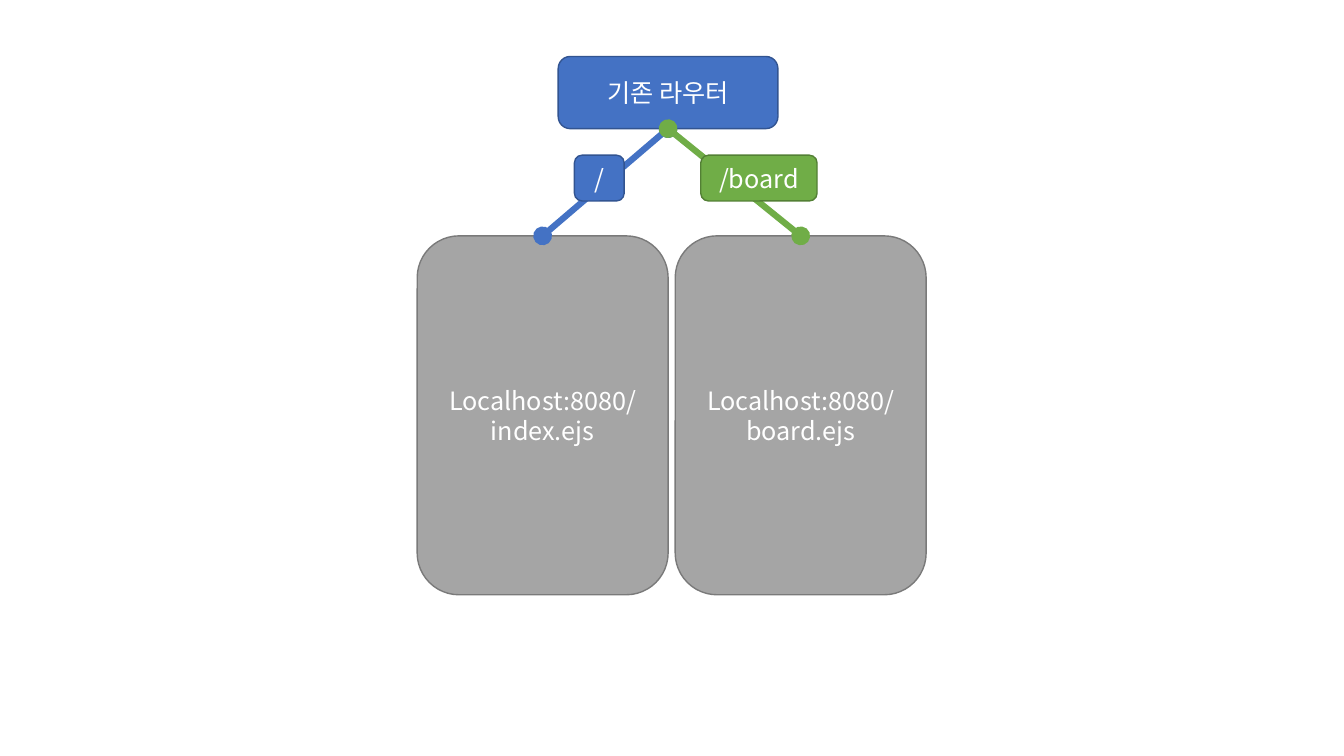
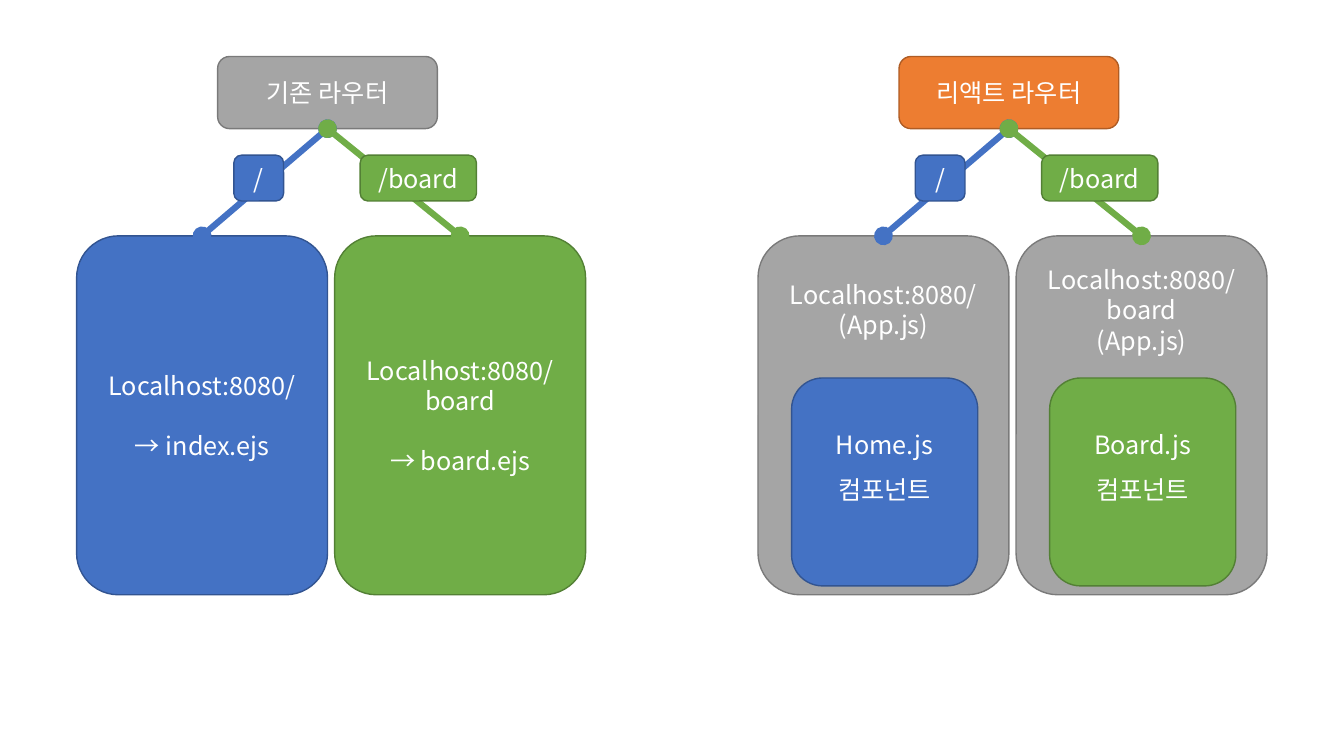
from pptx import Presentation
from pptx.dml.color import RGBColor
from pptx.enum.shapes import MSO_CONNECTOR, MSO_SHAPE
from pptx.enum.text import MSO_ANCHOR, PP_ALIGN
from pptx.oxml.ns import qn
from pptx.util import Inches, Pt
from lxml.etree import SubElement

WHITE = RGBColor(0xFF, 0xFF, 0xFF)
BLUE = RGBColor(0x44, 0x72, 0xC4)
GREEN = RGBColor(0x70, 0xAD, 0x47)
GRAY = RGBColor(0xA5, 0xA5, 0xA5)
ORANGE = RGBColor(0xED, 0x7D, 0x31)
EDGES = {
    BLUE: RGBColor(0x32, 0x54, 0x91),
    GREEN: RGBColor(0x53, 0x80, 0x35),
    GRAY: RGBColor(0x7A, 0x7A, 0x7A),
    ORANGE: RGBColor(0xAF, 0x5C, 0x24),
}
FONT = "Noto Sans CJK KR"
LEADING = 21.5
INSET = Inches(0.05)

PAGE_W, PAGE_H, PAGE_TOP, PAGE_PITCH = 18.67, 47.47, 31.2, 19.2
ROUTER_W, ROUTER_H, ROUTER_TOP = 16.35, 9.55, 7.47
LABEL_TOP, LABEL_H = 20.53, 6.06
LABELS = [("/", 11.7, 3.7), ("/board", 21.1, 8.65)]
PART_W, PART_H, PART_TOP, PART_INDENT = 13.85, 27.5, 50, 2.5
BRANCHES = [BLUE, GREEN]


class Deck:
    font_style = {"name": FONT, "size": Pt(18)}

    def __init__(self):
        self.prs = Presentation()
        self.prs.slide_width = Inches(13.33)
        self.prs.slide_height = Inches(7.5)

    def slide(self):
        self.s = self.prs.slides.add_slide(self.prs.slide_layouts[6])

    def x(self, share):
        return round(self.prs.slide_width * share / 100)

    def y(self, share):
        return round(self.prs.slide_height * share / 100)

    def box(self, left, top, width, height, fill, lines, spacing=1, gap=0, lift=0):
        sp = self.s.shapes.add_shape(
            MSO_SHAPE.ROUNDED_RECTANGLE,
            self.x(left), self.y(top), self.x(width), self.y(height))
        sp.shadow.inherit = False
        sp.fill.solid()
        sp.fill.fore_color.rgb = fill
        sp.line.color.rgb = EDGES[fill]
        sp.line.width = Pt(1)
        tf = sp.text_frame
        leading = LEADING * spacing
        frame_style = {
            "word_wrap": True,
            "vertical_anchor": MSO_ANCHOR.MIDDLE,
            "margin_bottom": INSET + Pt(leading * lift),
        }
        for name, value in frame_style.items():
            setattr(tf, name, value)
        for i, line in enumerate(lines):
            p = tf.add_paragraph() if i else tf.paragraphs[0]
            p.alignment = PP_ALIGN.CENTER
            p.line_spacing = Pt(leading)
            if i and gap:
                p.space_before = Pt(leading * gap)
            self.run(p, line)
        return sp

    def run(self, p, text):
        r = p.add_run()
        r.text = text
        for name, value in self.font_style.items():
            setattr(r.font, name, value)
        r.font.color.rgb = WHITE
        SubElement(r.font._element, qn("a:ea"), typeface=FONT)

    def link(self, upper, lower, color):
        cx = self.s.shapes.add_connector(MSO_CONNECTOR.STRAIGHT, 0, 0, 0, 0)
        cx.begin_connect(upper, 2)
        cx.end_connect(lower, 0)
        cx.line.color.rgb = color
        cx.line.width = Pt(4.5)
        for end in ("a:headEnd", "a:tailEnd"):
            SubElement(cx.line._get_or_add_ln(), qn(end), type="oval")
        SubElement(cx._element.spPr, qn("a:effectLst"))

    def tree(self, left, title, color, pages, fills=(GRAY, GRAY), parts=(), **layout):
        lefts = [left + i * PAGE_PITCH for i in range(len(pages))]
        page_boxes = [
            self.box(x, PAGE_TOP, PAGE_W, PAGE_H, fill, lines, **layout)
            for x, fill, lines in zip(lefts, fills, pages)]
        router = self.box(left + PAGE_W - ROUTER_W / 2, ROUTER_TOP,
                          ROUTER_W, ROUTER_H, color, [title])
        for page, branch in zip(page_boxes, BRANCHES):
            self.link(router, page, branch)
        for (text, offset, width), branch in zip(LABELS, BRANCHES):
            self.box(left + offset, LABEL_TOP, width, LABEL_H, branch, [text])
        for x, branch, lines in zip(lefts, BRANCHES, parts):
            self.box(x + PART_INDENT, PART_TOP, PART_W, PART_H, branch, lines,
                     spacing=1.5, lift=1)


def main():
    deck = Deck()
    deck.slide()
    deck.tree(31.04, "기존 라우터", BLUE,
              [["Localhost:8080/", "index.ejs"], ["Localhost:8080/board.ejs"]])

    deck.slide()
    deck.tree(5.7, "기존 라우터", GRAY,
              [["Localhost:8080/", "→ index.ejs"],
               ["Localhost:8080/board", "→ board.ejs"]],
              fills=BRANCHES, gap=1)
    deck.tree(56.4, "리액트 라우터", ORANGE,
              [["Localhost:8080/ (App.js)"], ["Localhost:8080/ board", "(App.js)"]],
              parts=[["Home.js", "컴포넌트"], ["Board.js", "컴포넌트"]], lift=7)
    deck.prs.save("out.pptx")


if __name__ == "__main__":
    main()
